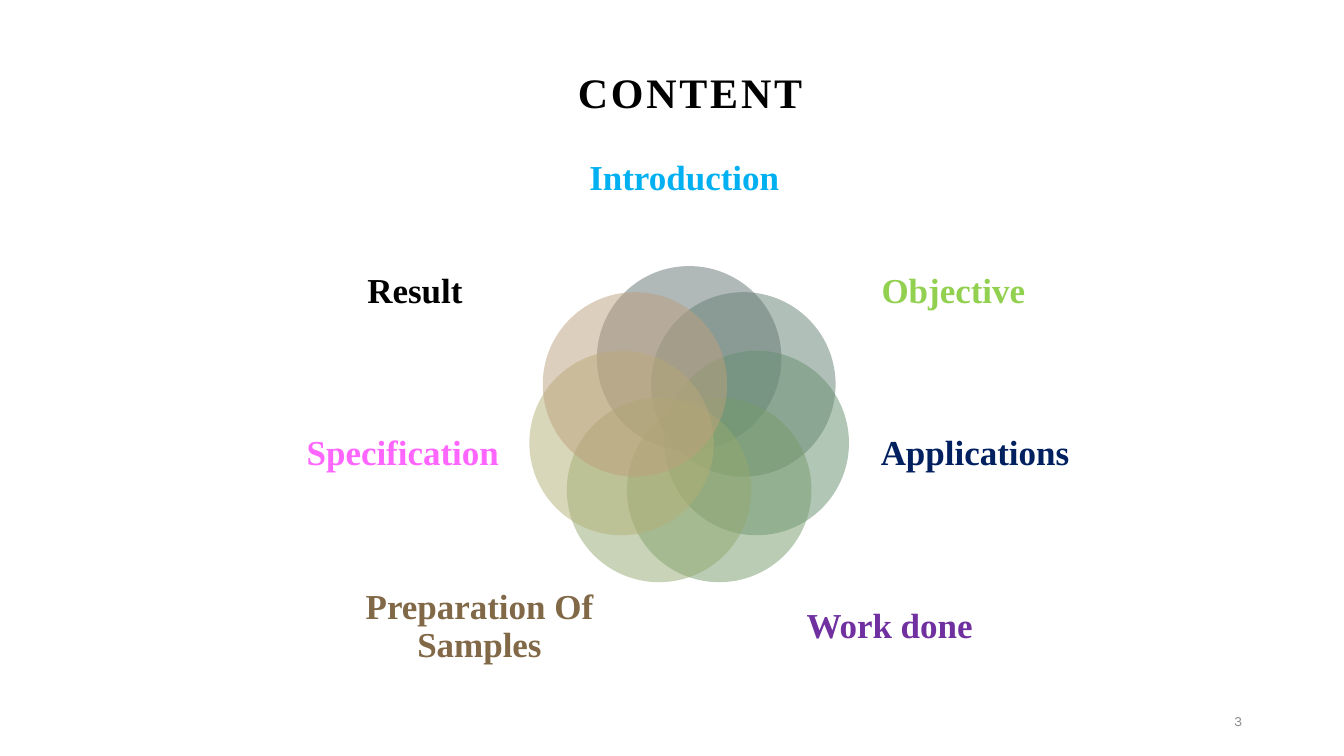
"""Build the content slide: seven overlapping petals and their coloured labels."""
from dataclasses import dataclass
from math import cos, pi, sin

from lxml.etree import SubElement
from pptx import Presentation
from pptx.dml.color import RGBColor
from pptx.enum.shapes import MSO_SHAPE
from pptx.enum.text import MSO_ANCHOR, PP_ALIGN
from pptx.oxml.ns import qn
from pptx.util import Inches, Pt

WIDTH, HEIGHT = Inches(13.33), Inches(7.5)
SERIF = "Times New Roman"
COLOURS = {
    "black": "000000", "grey": "8C8C8C", "sky": "00B0F0", "lime": "92D050",
    "navy": "002060", "purple": "7030A0", "brown": "816846", "pink": "FF66FF",
    "slate": "627272", "teal": "658075", "green": "678F6F", "leaf": "769C6B",
    "olive": "94A870", "sand": "B3B076", "clay": "BDA07D",
}


@dataclass(frozen=True)
class Area:
    """A rectangle in percent of the slide's width and height."""
    left: float
    top: float
    width: float
    height: float

    def lengths(self) -> tuple[int, int, int, int]:
        """Return left, top, width and height as slide lengths."""
        return (across(self.left), down(self.top), across(self.width), down(self.height))


@dataclass(frozen=True)
class Topic:
    """A label with its area, text colour and petal colour."""
    text: str
    area: Area
    colour: str
    petal: str


@dataclass(frozen=True)
class Style:
    """The look of a line of text."""
    font: str
    size: float
    colour: str
    bold: bool = True
    spacing: float = 0
    align: PP_ALIGN = PP_ALIGN.CENTER
    line_spacing: float = 0.9


TITLE_AREA = Area(32.11, 5.87, 38.48, 10.4)
NUMBER_AREA = Area(70.67, 92.67, 22.5, 5.33)
TITLE_STYLE = Style(SERIF, 30, "black", spacing=2)
NUMBER_STYLE = Style("Karla", 10, "grey", False, 1.5, PP_ALIGN.RIGHT, 1)
FLOWER_X, FLOWER_Y = 51.28, 56.56
ORBIT, DIAMETER = 9.16, 24.4
TOPICS = [
    Topic("Introduction", Area(43.03, 16.27, 15.75, 14.93), "sky", "slate"),
    Topic("Objective", Area(63.51, 30.4, 14.85, 16.4), "lime", "teal"),
    Topic("Applications", Area(65.27, 51.33, 14.55, 17.6), "navy", "green"),
    Topic("Work done", Area(58.31, 74.93, 15.75, 16.13), "purple", "leaf"),
    Topic("Preparation Of Samples", Area(24.46, 74.93, 22.43, 16.13), "brown", "olive"),
    Topic("Specification", Area(20.48, 51.33, 18.98, 17.6), "pink", "sand"),
    Topic("Result", Area(23.45, 30.4, 14.85, 16.4), "black", "clay"),
]


def across(percent: float) -> int:
    """Convert a share of the slide's width."""
    return round(WIDTH * percent / 100)


def down(percent: float) -> int:
    """Convert a share of the slide's height."""
    return round(HEIGHT * percent / 100)


def write(box, text: str, style: Style, anchor: MSO_ANCHOR = MSO_ANCHOR.MIDDLE) -> None:
    """Put one styled paragraph into a box."""
    frame = box.text_frame
    frame.text = text
    frame.word_wrap = True
    frame.vertical_anchor = anchor
    para = frame.paragraphs[0]
    para.alignment = style.align
    para.line_spacing = style.line_spacing
    span = para.runs[0]
    span.font.name = style.font
    span.font.size = Pt(style.size)
    span.font.bold = style.bold
    span.font.color.rgb = RGBColor.from_string(COLOURS[style.colour])
    if style.spacing:
        span.font._element.set("spc", str(round(style.spacing * 100)))


def draw_petal(page, index: int, colour: str) -> None:
    """Draw one half-transparent circle on the flower's orbit."""
    angle = 2 * pi * index / len(TOPICS)
    size, orbit = down(DIAMETER), down(ORBIT)
    left = round(across(FLOWER_X) + orbit * sin(angle) - size / 2)
    top = round(down(FLOWER_Y) - orbit * cos(angle) - size / 2)
    petal = page.shapes.add_shape(MSO_SHAPE.OVAL, left, top, size, size)
    petal.shadow.inherit = False
    petal.line.fill.background()
    petal.fill.solid()
    petal.fill.fore_color.rgb = RGBColor.from_string(COLOURS[colour])
    paint = next(petal.element.spPr.iter(qn("a:srgbClr")))
    SubElement(paint, qn("a:alpha")).set("val", "50000")


def draw_label(page, topic: Topic) -> None:
    """Draw a topic's text without inner margins."""
    box = page.shapes.add_textbox(*topic.area.lengths())
    write(box, topic.text, Style(SERIF, 25, topic.colour))
    frame = box.text_frame
    frame.margin_left = frame.margin_top = frame.margin_right = frame.margin_bottom = 0


def main() -> None:
    """Build and save the deck."""
    deck = Presentation()
    deck.slide_width, deck.slide_height = WIDTH, HEIGHT
    page = deck.slides.add_slide(deck.slide_layouts[5])
    title = page.shapes.title
    title.left, title.top, title.width, title.height = TITLE_AREA.lengths()
    write(title, "CONTENT", TITLE_STYLE, MSO_ANCHOR.BOTTOM)
    write(page.shapes.add_textbox(*NUMBER_AREA.lengths()), "3", NUMBER_STYLE)
    for index, topic in enumerate(TOPICS):
        draw_petal(page, index, topic.petal)
        draw_label(page, topic)
    deck.save("out.pptx")


if __name__ == "__main__":
    main()
